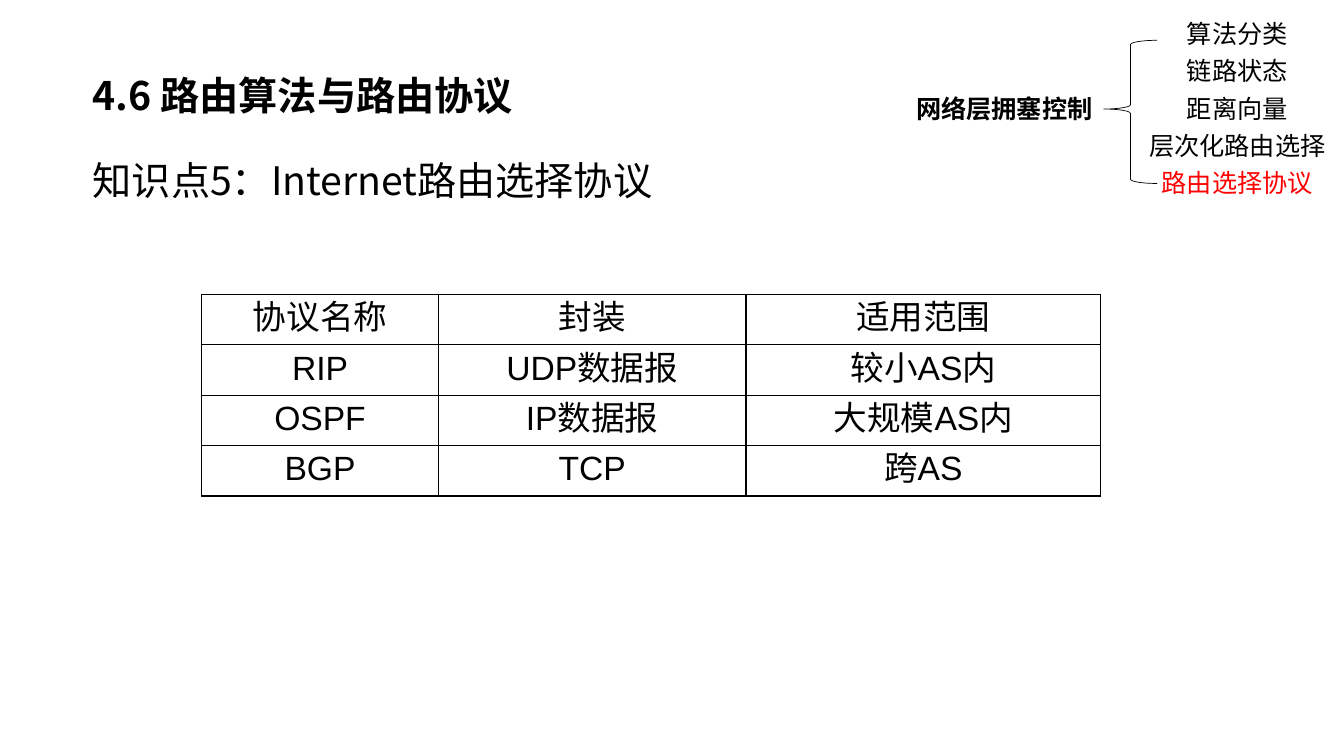
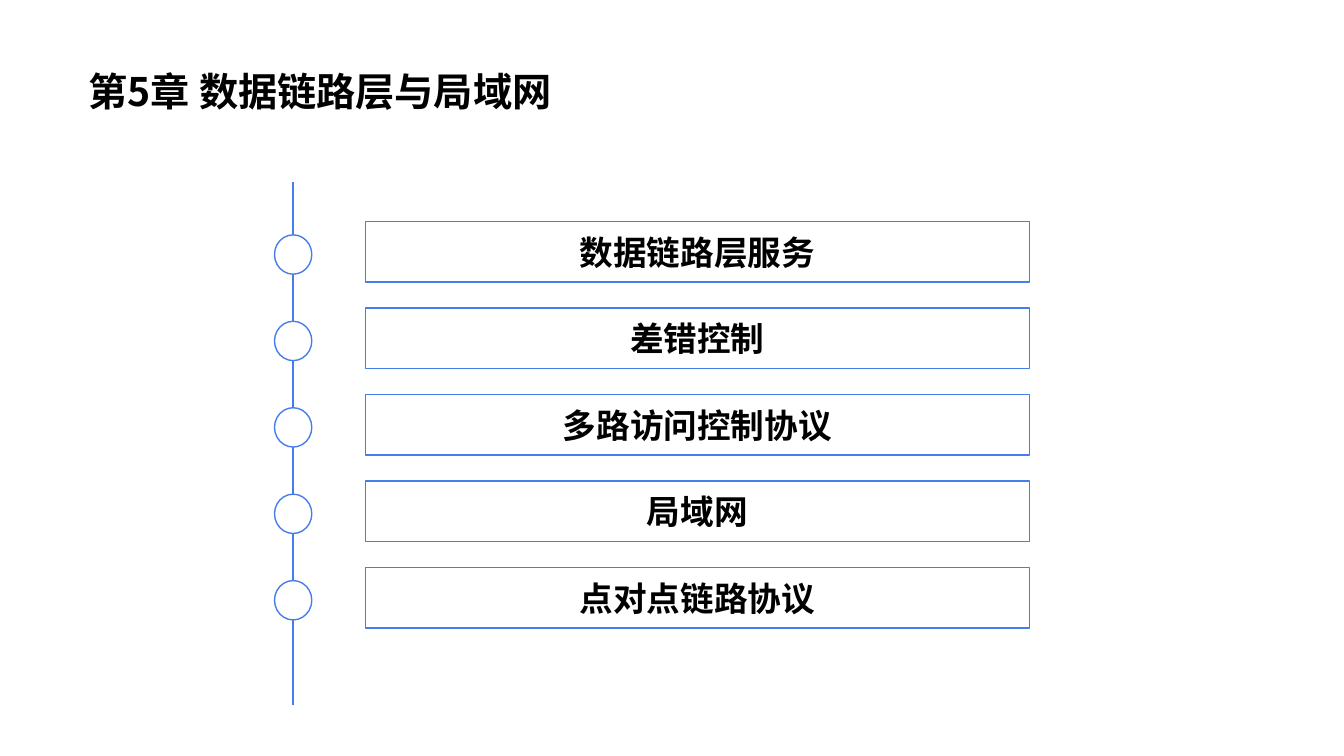
from lxml.etree import SubElement
from pptx import Presentation
from pptx.dml.color import RGBColor
from pptx.enum.shapes import MSO_CONNECTOR, MSO_SHAPE
from pptx.enum.text import MSO_ANCHOR, MSO_AUTO_SIZE, PP_ALIGN
from pptx.oxml.ns import qn
from pptx.util import Inches, Pt

BLACK = RGBColor(0x00, 0x00, 0x00)
WHITE = RGBColor(0xFF, 0xFF, 0xFF)
RED = RGBColor(0xFF, 0x00, 0x00)
BLUE = RGBColor(0x47, 0x7D, 0xEA)
CJK_FONT = "Noto Sans CJK SC"
TABLE_FONT = "Arial"
TITLE_SIZE = 28

deck = Presentation()
deck.slide_width = Inches(13.33)
deck.slide_height = Inches(7.5)

# Grid shared by the slides: 40 columns by 30 rows
COLUMN = deck.slide_width / 40
ROW = deck.slide_height / 30


def grid(column, row, columns, rows):
    """Left, top, width and height of a block of the grid."""
    return (round(column * COLUMN), round(row * ROW),
            round(columns * COLUMN), round(rows * ROW))


def write(frame, text, size, bold=False, color=BLACK, align=PP_ALIGN.LEFT,
          anchor=MSO_ANCHOR.MIDDLE, font=CJK_FONT, wrap=True, side=0.1):
    """Fill a text frame with one formatted paragraph and return it."""
    frame.text = text
    frame.word_wrap = wrap
    frame.auto_size = MSO_AUTO_SIZE.NONE
    frame.vertical_anchor = anchor
    frame.margin_left = frame.margin_right = Inches(side)
    para = frame.paragraphs[0]
    para.alignment = align
    para.space_before = Pt(0)
    for span in para.runs:
        span.font.name = font
        span.font.size = Pt(size)
        span.font.bold = bold
        span.font.color.rgb = color
        SubElement(span.font._element, qn("a:ea"), typeface=font)
    return para


# ---- Slide 1: routing protocols ----
page = deck.slides.add_slide(deck.slide_layouts[1])
title, body = page.placeholders
title.left, title.top, title.width, title.height = grid(2.4, 2.6, 28.95, 2.36)
write(title.text_frame, "4.6 路由算法与路由协议", TITLE_SIZE, bold=True,
      anchor=MSO_ANCHOR.TOP, side=0.12)
title.text_frame.margin_top = Inches(0.06)

body.left, body.top, body.width, body.height = grid(2.4, 4.6, 36.48, 4.16)
para = write(body.text_frame, "知识点5：Internet路由选择协议", TITLE_SIZE, side=0.12)
para.line_spacing = 1.5
properties = para._p.get_or_add_pPr()
properties.set("marL", "0")
properties.set("indent", "0")
SubElement(properties, qn("a:buNone"))

# Protocol table
protocols = [
    ("协议名称", "封装", "适用范围"),
    ("RIP", "UDP数据报", "较小AS内"),
    ("OSPF", "IP数据报", "大规模AS内"),
    ("BGP", "TCP", "跨AS"),
]
table = page.shapes.add_table(4, 3, *grid(6, 11.68, 26.76, 8)).table
for table_column, columns in zip(table.columns, (7.05, 9.15, 10.56)):
    table_column.width = round(columns * COLUMN)
for row_index, protocol in enumerate(protocols):
    for column_index, text in enumerate(protocol):
        cell = table.cell(row_index, column_index)
        write(cell.text_frame, text, 24, align=PP_ALIGN.CENTER,
              anchor=None, font=TABLE_FONT)
        cell.vertical_anchor = MSO_ANCHOR.TOP
        cell_properties = cell._tc.get_or_add_tcPr()
        for side in ("a:lnL", "a:lnR", "a:lnT", "a:lnB"):
            border = SubElement(cell_properties, qn(side), w=str(Pt(1)))
            fill = SubElement(border, qn("a:solidFill"))
            SubElement(fill, qn("a:srgbClr"), val=str(BLACK))
        cell.fill.background()

# Topic outline with its brace
brace = page.shapes.add_shape(MSO_SHAPE.LEFT_BRACE, *grid(32.85, 1.6, 1.59, 5.68))
brace.adjustments[0] = 0.08
brace.adjustments[1] = 0.48
brace.shadow.inherit = False
brace.fill.background()
brace.line.color.rgb = BLACK
brace.line.width = Pt(0.5)

box = page.shapes.add_textbox(*grid(26.97, 3.52, 5.94, 1.6))
write(box.text_frame, "网络层拥塞控制", 18, bold=True, anchor=MSO_ANCHOR.TOP, wrap=False)

topics = ["算法分类", "链路状态", "距离向量", "层次化路由选择", "路由选择协议"]
for index, topic in enumerate(topics):
    box = page.shapes.add_textbox(*grid(33.87, 0.84 + 1.48 * index, 5.91, 1.32))
    para = write(box.text_frame, topic, 18, align=PP_ALIGN.CENTER,
                 anchor=MSO_ANCHOR.TOP, wrap=False,
                 color=RED if topic == topics[-1] else BLACK)
    para.line_spacing = Pt(16)

# ---- Slide 2: chapter contents ----
page = deck.slides.add_slide(deck.slide_layouts[5])
title = page.shapes.title
title.left, title.top, title.width, title.height = grid(2.22, 1.92, 23.7, 3.4)
write(title.text_frame, "第5章 数据链路层与局域网", TITLE_SIZE, bold=True, side=0.14)

# Timeline
left, top, width, height = grid(8.72, 7.24, 0, 20.72)
timeline = page.shapes.add_connector(MSO_CONNECTOR.STRAIGHT, left, top, left, top + height)
timeline.line.color.rgb = BLUE
timeline.line.width = Pt(1)
SubElement(timeline._element.spPr, qn("a:effectLst"))

# Sections, each with a marker on the timeline
sections = ["数据链路层服务", "差错控制", "多路访问控制协议", "局域网", "点对点链路协议"]
for index, section in enumerate(sections):
    offset = 3.43 * index
    marker = page.shapes.add_shape(MSO_SHAPE.OVAL, *grid(8.17, 9.32 + offset, 1.11, 1.56))
    box = page.shapes.add_shape(MSO_SHAPE.RECTANGLE, *grid(10.87, 8.8 + offset, 19.77, 2.4))
    for shape in (marker, box):
        shape.shadow.inherit = False
        shape.fill.solid()
        shape.fill.fore_color.rgb = WHITE
        shape.line.color.rgb = BLUE
        shape.line.width = Pt(1)
    write(box.text_frame, section, 24, bold=True, align=PP_ALIGN.CENTER)

deck.save("out.pptx")
